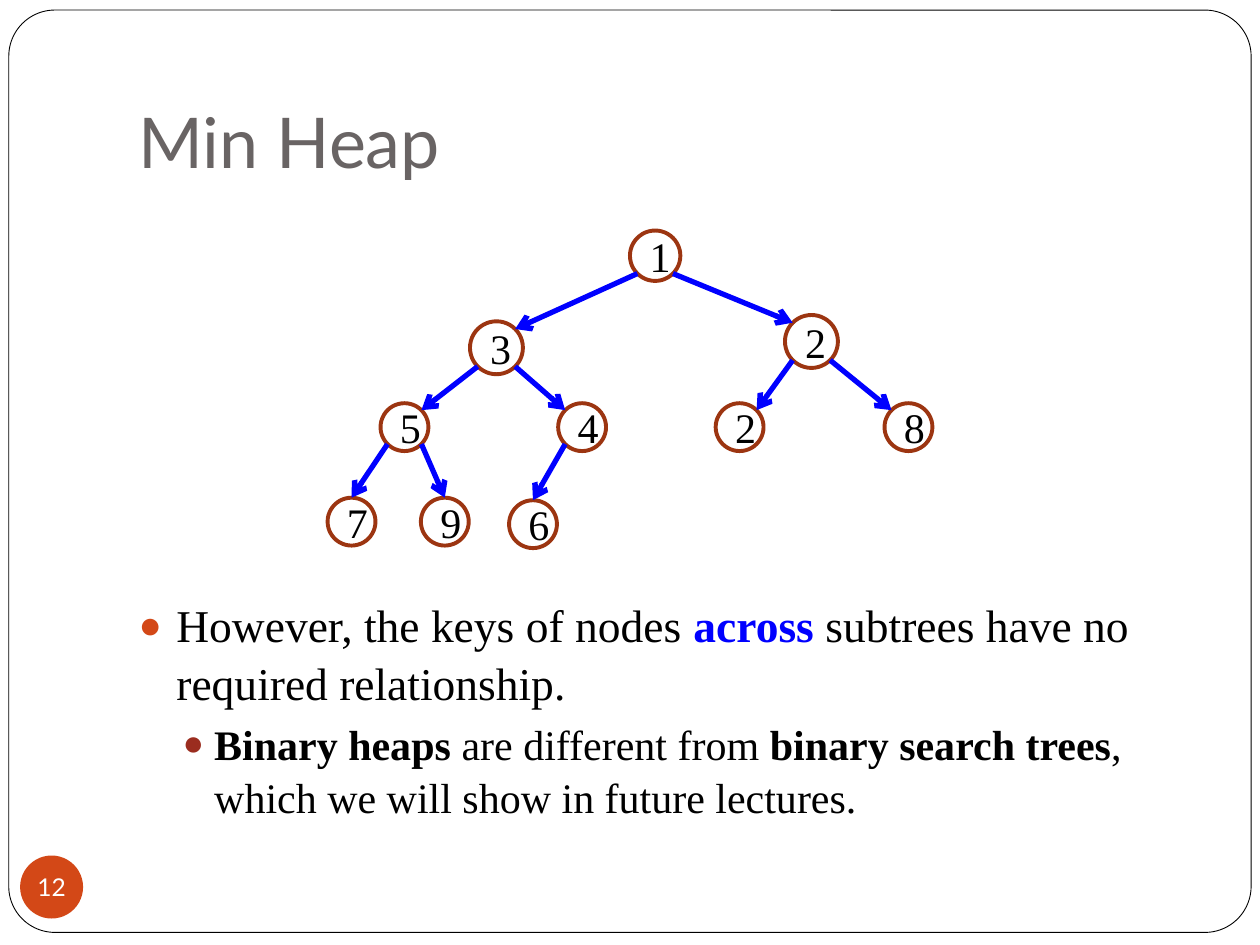
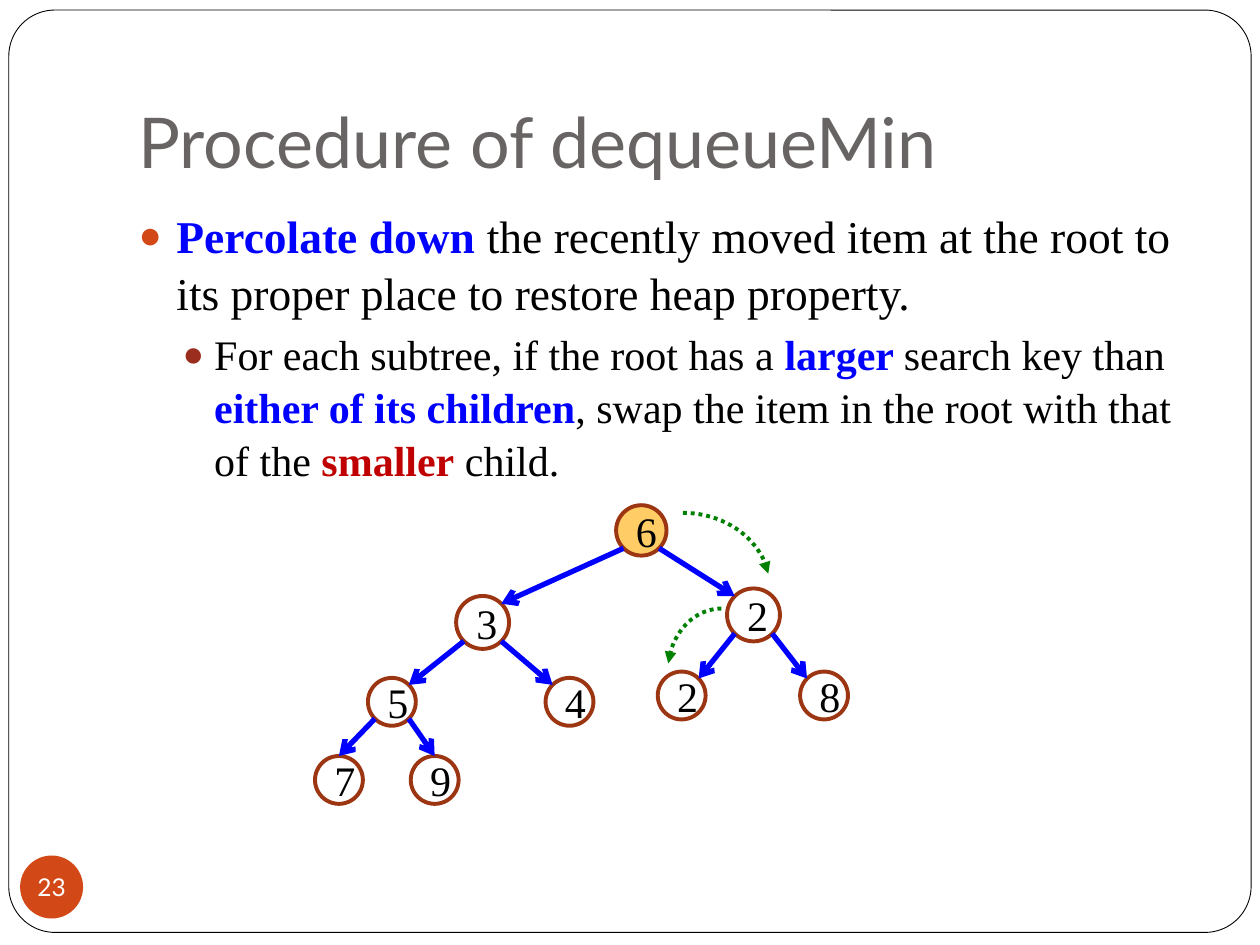
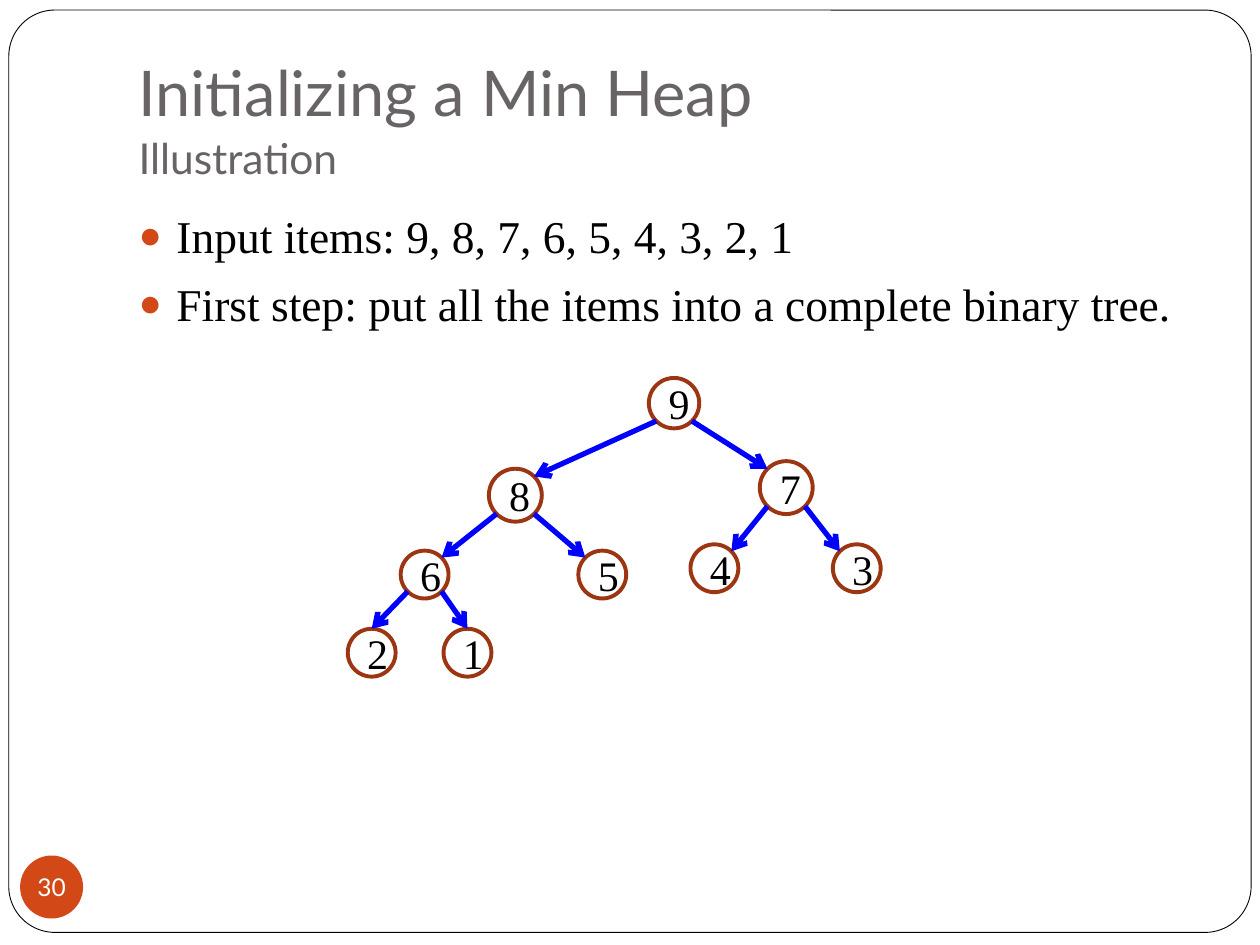
from pptx import Presentation
from pptx.dml.color import RGBColor
from pptx.enum.dml import MSO_LINE
from pptx.enum.shapes import MSO_CONNECTOR, MSO_SHAPE
from pptx.enum.text import MSO_ANCHOR, MSO_AUTO_SIZE, PP_ALIGN
from pptx.oxml.ns import qn
from pptx.util import Inches, Pt
from lxml import etree

# Enum members
ELLIPSE, ARC, ROUNDED = MSO_SHAPE.OVAL, MSO_SHAPE.ARC, MSO_SHAPE.ROUNDED_RECTANGLE
STRAIGHT, DOTTED = MSO_CONNECTOR.STRAIGHT, MSO_LINE.ROUND_DOT
LEFT, CENTER = PP_ALIGN.LEFT, PP_ALIGN.CENTER
MIDDLE, BOTTOM, TOP = MSO_ANCHOR.MIDDLE, MSO_ANCHOR.BOTTOM, MSO_ANCHOR.TOP

# Colours and fonts
BLACK = RGBColor(0x00, 0x00, 0x00)
WHITE = RGBColor(0xFF, 0xFF, 0xFF)
GRAY = RGBColor(0x69, 0x64, 0x64)
ORANGE = RGBColor(0xD3, 0x48, 0x17)
DARK_RED = RGBColor(0x9B, 0x2D, 0x1F)
RED = RGBColor(0xC0, 0x00, 0x00)
BLUE = RGBColor(0x00, 0x00, 0xFF)
GREEN = RGBColor(0x00, 0x80, 0x00)
BROWN = RGBColor(0x9C, 0x35, 0x11)
AMBER = RGBColor(0xFF, 0xCC, 0x66)
HEADING, SERIF = "Lato", "Times New Roman"

# Run formats
PLAIN = {}
BOLD = {"bold": True}
KEY = {"bold": True, "color": BLUE}
WARN = {"bold": True, "color": RED}

# Bullet levels
LEVELS = [
    {"size": 26, "indent": 0.3, "hang": 0.3, "before": 5.8, "bullet": ORANGE},
    {"size": 24, "indent": 0.6, "hang": 0.25, "before": 3.7, "bullet": DARK_RED},
]

# Tree layouts: node offsets from the root, in level order
WIDE = [(0, 0), (-1.27, 0.72), (1.23, 0.67),
        (-1.98, 1.37), (-0.57, 1.37), (0.68, 1.37), (2.02, 1.37),
        (-2.4, 2.12), (-1.66, 2.12), (-0.96, 2.14)]
COMPACT = [(0, 0), (-1.27, 0.72), (0.88, 0.66),
           (-1.97, 1.37), (-0.56, 1.37), (0.33, 1.32), (1.46, 1.32),
           (-2.39, 1.99), (-1.63, 1.99)]
DIAMETERS = [0.4, 0.42, 0.38, 0.38]  # by depth
DIAGONAL = 0.146  # inset of a circle's 45 degree point, as share of its diameter

# Content: title lines (text, size), bullets (level, runs), tree, swap arcs
SLIDES = [
    {"number": "12",
     "title": [("Min Heap", 40)],
     "body_top": 4.67,
     "bullets": [
         (0, [("However, the keys of nodes ", PLAIN), ("across ", KEY),
              ("subtrees have no required relationship.", PLAIN)]),
         (1, [("Binary heaps ", BOLD), ("are different from ", PLAIN),
              ("binary search trees", BOLD),
              (", which we will show in future lectures.", PLAIN)])],
     "keys": "1325428796", "layout": WIDE, "root": (5, 1.83),
     "root_fill": None, "swaps": []},
    {"number": "23",
     "title": [("Procedure of dequeueMin", 40)],
     "body_top": 1.58,
     "bullets": [
         (0, [("Percolate down ", KEY),
              ("the recently moved item at the root to its proper place "
               "to restore heap property.", PLAIN)]),
         (1, [("For each subtree, if the root has a ", PLAIN), ("larger ", KEY),
              ("search key than ", PLAIN), ("either of its children", KEY),
              (", swap the item in the root with that of the ", PLAIN),
              ("smaller", WARN), (" child.", PLAIN)])],
     "keys": "632542879", "layout": COMPACT, "root": (4.89, 4.01),
     "root_fill": AMBER,
     "swaps": [((4.73, 4.07, 1.38, 1.19), False), ((5.3, 4.83, 0.85, 1.01), True)]},
    {"number": "30",
     "title": [("Initializing a Min Heap", 36), ("Illustration", 24.3)],
     "body_top": 1.58,
     "bullets": [
         (0, [("Input items: 9, 8, 7, 6, 5, 4, 3, 2, 1", PLAIN)]),
         (0, [("First step: put all the items into a complete binary tree.", PLAIN)])],
     "keys": "987654321", "layout": COMPACT, "root": (5.15, 3),
     "root_fill": None, "swaps": []},
]
BODY_BOTTOM = 6.58


def add_text(paragraph, text, *, size, font=SERIF, color=BLACK, bold=False, align=LEFT):
    """Append a formatted run to a paragraph."""
    paragraph.alignment = align
    run = paragraph.add_run()
    run.text = text
    run.font.name, run.font.size, run.font.bold = font, Pt(size), bold
    run.font.color.rgb = color


def place(shape, left, top, width, height):
    shape.left, shape.top = Inches(left), Inches(top)
    shape.width, shape.height = Inches(width), Inches(height)


def add_shape(shapes, kind, box, fill=None, line=None, weight=2.25):
    shape = shapes.add_shape(kind, *map(Inches, box))
    shape.shadow.inherit = False
    if fill is None:
        shape.fill.background()
    else:
        shape.fill.solid()
        shape.fill.fore_color.rgb = fill
    if line is None:
        shape.line.fill.background()
    else:
        shape.line.color.rgb = line
        shape.line.width = Pt(weight)
    return shape


def add_arrowhead(shape, kind):
    outline = shape.element.spPr.find(qn("a:ln"))
    etree.SubElement(outline, qn("a:tailEnd"), type=kind)


def add_edge(shapes, start, end):
    edge = shapes.add_connector(STRAIGHT, *map(Inches, start + end))
    edge.line.color.rgb = BLUE
    edge.line.width = Pt(3)
    add_arrowhead(edge, "arrow")
    etree.SubElement(edge.element.spPr, qn("a:effectLst"))


def set_bullet(paragraph, level):
    props = paragraph._p.get_or_add_pPr()
    props.set("marL", str(Inches(level["indent"])))
    props.set("indent", str(-Inches(level["hang"])))
    color = etree.SubElement(props, qn("a:buClr"))
    etree.SubElement(color, qn("a:srgbClr"), val=str(level["bullet"]))
    etree.SubElement(props, qn("a:buSzPct"), val="85000")
    etree.SubElement(props, qn("a:buFont"), typeface="Arial")
    etree.SubElement(props, qn("a:buChar"), char="\u25cf")


def add_title(slide, lines):
    title = slide.shapes.title
    place(title, 1, 0.3, 8.5, 1.25)
    frame = title.text_frame
    frame.auto_size = MSO_AUTO_SIZE.NONE
    frame.vertical_anchor = BOTTOM
    frame.margin_bottom = Inches(0.1)
    paragraph = frame.paragraphs[0]
    paragraph.line_spacing = 1.05
    for i, (text, size) in enumerate(lines):
        if i:
            paragraph.add_line_break()
        add_text(paragraph, text, size=size, font=HEADING, color=GRAY)


def add_bullets(slide, bullets, top):
    body = slide.placeholders[1]
    place(body, 1, top, 8.5, BODY_BOTTOM - top)
    frame = body.text_frame
    frame.auto_size = MSO_AUTO_SIZE.NONE
    frame.vertical_anchor = TOP
    for i, (depth, runs) in enumerate(bullets):
        paragraph = frame.add_paragraph() if i else frame.paragraphs[0]
        level = LEVELS[depth]
        paragraph.level = depth
        paragraph.line_spacing = 1.05
        paragraph.space_before = Pt(level["before"])
        set_bullet(paragraph, level)
        for text, style in runs:
            add_text(paragraph, text, size=level["size"], **style)


def add_number(slide, number):
    badge = add_shape(slide.shapes, ELLIPSE, (0.16, 6.79, 0.5, 0.5), fill=ORANGE)
    frame = badge.text_frame
    frame.margin_left = frame.margin_right = frame.margin_top = frame.margin_bottom = 0
    frame.word_wrap = False
    frame.vertical_anchor = MIDDLE
    add_text(frame.paragraphs[0], number, size=14, font=HEADING, color=WHITE, align=CENTER)


def add_tree(slide, keys, layout, root, root_fill):
    """Draw a heap in level order: the parent of node i is (i - 1) // 2."""
    tree = slide.shapes.add_group_shape().shapes
    circles = []
    for i, (key, (dx, dy)) in enumerate(zip(keys, layout)):
        depth = (i + 1).bit_length() - 1
        size = DIAMETERS[depth]
        x, y = root[0] + dx, root[1] + dy
        circles.append((x, y, size))
        node = add_shape(tree, ELLIPSE, (x, y, size, size),
                         fill=None if i else root_fill, line=BROWN)
        node.text_frame.word_wrap = True
        node.text_frame.vertical_anchor = MIDDLE
        add_text(node.text_frame.paragraphs[0], key, size=24, align=CENTER)
        if i == 0:
            continue
        # Edge from the parent's lower side to the child's facing side or top
        px, py, parent_size = circles[(i - 1) // 2]
        is_left = i % 2 == 1
        out = DIAGONAL if is_left else 1 - DIAGONAL
        start = (px + out * parent_size, py + (1 - DIAGONAL) * parent_size)
        if depth == 3:
            end = (x + size / 2, y)
        else:
            end = (x + (1 - out) * size, y + DIAGONAL * size)
        add_edge(tree, start, end)


def add_swap(slide, box, mirrored):
    swap = add_shape(slide.shapes, ARC, box, line=GREEN)
    swap.adjustments[0], swap.adjustments[1] = 162, 210.36
    swap.line.dash_style = DOTTED
    add_arrowhead(swap, "triangle")
    if mirrored:
        swap.element.spPr.find(qn("a:xfrm")).set("flipH", "1")


def add_frame(slide, layout):
    """Put the rounded page border behind everything on the shared layout."""
    border = add_shape(slide.shapes, ROUNDED, (0.07, 0.08, 9.86, 7.32),
                       fill=WHITE, line=BLACK, weight=0.5)
    border.adjustments[0] = 0.05
    layout.shapes.element.insert(2, border.element)


# Build the slides
prs = Presentation()
prs.slide_width, prs.slide_height = Inches(10), Inches(7.5)
page = prs.slide_layouts[1]
for content in SLIDES:
    slide = prs.slides.add_slide(page)
    if content is SLIDES[0]:
        add_frame(slide, page)
    add_title(slide, content["title"])
    add_number(slide, content["number"])
    add_bullets(slide, content["bullets"], content["body_top"])
    add_tree(slide, content["keys"], content["layout"], content["root"],
             content["root_fill"])
    for box, mirrored in content["swaps"]:
        add_swap(slide, box, mirrored)

prs.save("out.pptx")
